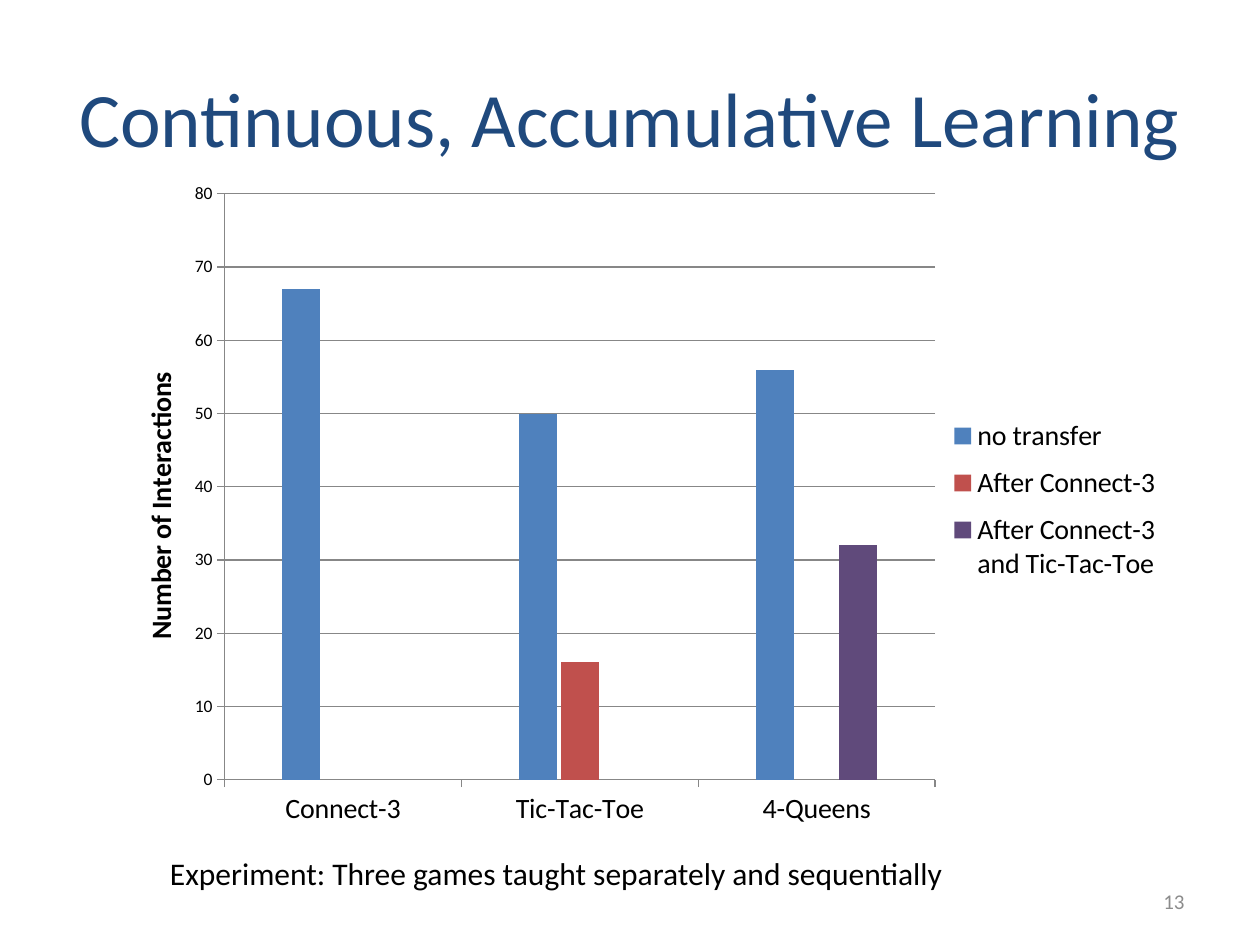
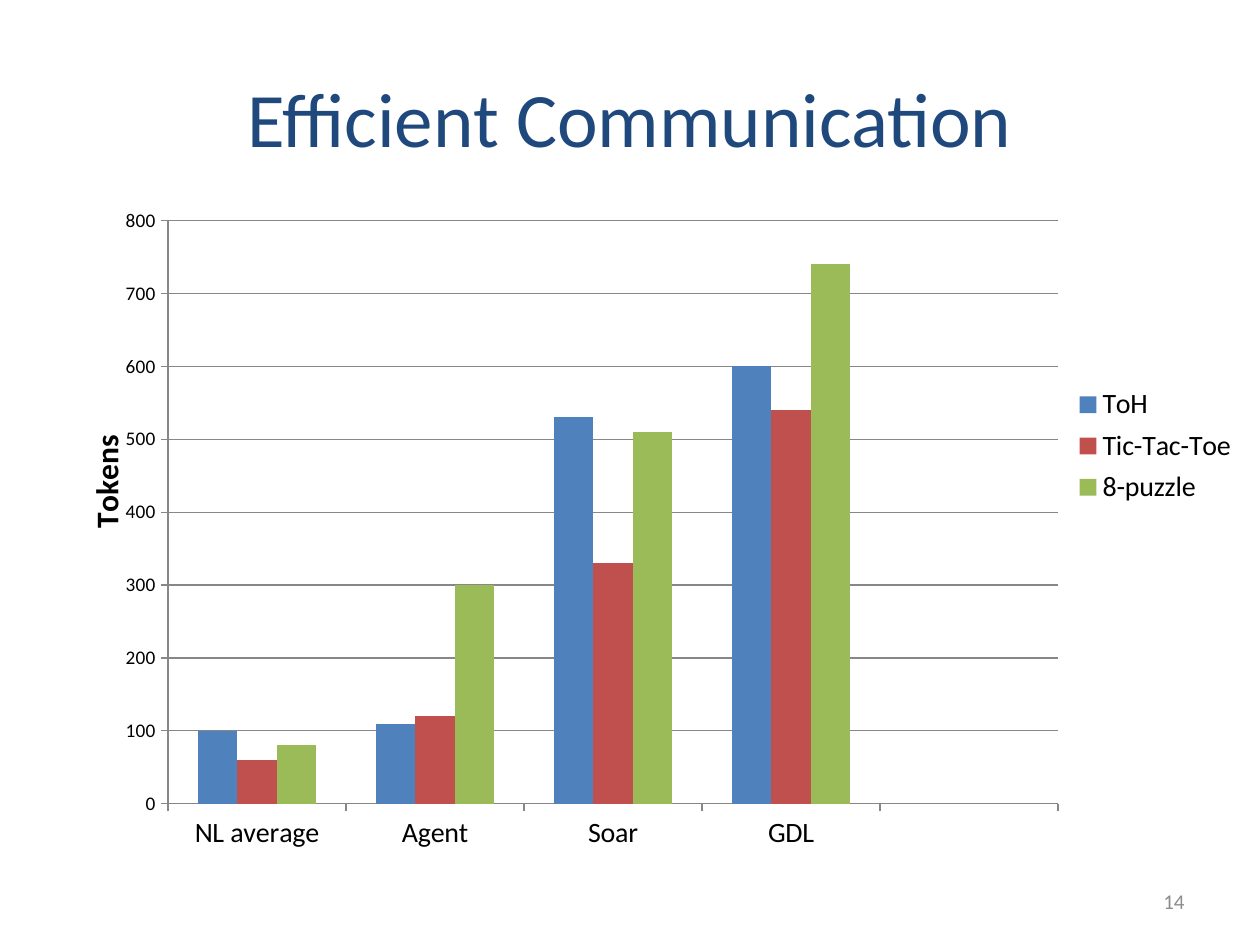
"""Build two slides of column charts about interactive game learning."""
from dataclasses import dataclass
from typing import Any, NamedTuple, Optional

from lxml import etree
from pptx import Presentation
from pptx import util as u
from pptx.chart import data as chart_data
from pptx.dml import color
from pptx.enum import chart as charts, text
from pptx.oxml import ns


@dataclass(frozen=True)
class Theme:
    font: str = "Calibri"
    title_color: str = "1F497D"
    text_color: str = "000000"
    number_color: str = "8C8C8C"
    line_color: str = "878787"
    blue: str = "4F81BD"
    red: str = "C0504D"
    purple: str = "604A7B"
    green: str = "9BBB59"
    title_size: int = 44
    caption_size: int = 18
    label_size: int = 16
    number_size: int = 12


class Box(NamedTuple):
    left: float
    top: float
    width: float
    height: float


class Series(NamedTuple):
    name: str
    color: str
    values: tuple[Optional[float], ...]


class TextStyle(NamedTuple):
    size: int
    color: str
    alignment: Any = text.PP_ALIGN.LEFT
    anchor: Any = text.MSO_ANCHOR.TOP


@dataclass(frozen=True)
class ColumnChart:
    box: Box
    categories: tuple[str, ...]
    series: tuple[Series, ...]
    axis_title: str
    axis_title_size: int
    tick_size: int
    maximum: int
    step: int
    gap_width: int
    overlap: int
    plot_layout: dict[str, float]
    title_layout: dict[str, float]
    legend_layout: dict[str, float]


@dataclass(frozen=True)
class ChartSlide:
    title: str
    number: int
    chart: ColumnChart
    caption: str = ""


THEME = Theme()
TITLE_BOX = Box(0.5, 0.3, 9, 1.25)
CAPTION_BOX = Box(1.25, 6.73, 7.42, 0.4)
NUMBER_BOX = Box(7.17, 6.95, 2.33, 0.4)
CENTER, RIGHT = text.PP_ALIGN.CENTER, text.PP_ALIGN.RIGHT
MIDDLE = text.MSO_ANCHOR.MIDDLE
TITLE_STYLE = TextStyle(THEME.title_size, THEME.title_color, CENTER, MIDDLE)
CAPTION_STYLE = TextStyle(THEME.caption_size, THEME.text_color)
NUMBER_STYLE = TextStyle(THEME.number_size, THEME.number_color, RIGHT, MIDDLE)

SLIDES = (
    ChartSlide(
        title="Continuous, Accumulative Learning",
        number=13,
        caption="Experiment: Three games taught separately and sequentially",
        chart=ColumnChart(
            box=Box(1, 1.42, 8.33, 5.15),
            categories=("Connect-3", "Tic-Tac-Toe", "4-Queens"),
            series=(
                Series("no transfer", THEME.blue, (67, 50, 56)),
                Series("After Connect-3", THEME.red, (None, 16, None)),
                Series("After Connect-3 and Tic-Tac-Toe", THEME.purple, (None, None, 32)),
            ),
            axis_title="Number of Interactions",
            axis_title_size=16,
            tick_size=10,
            maximum=80,
            step=10,
            gap_width=303,
            overlap=-10,
            plot_layout={"x": 0.094, "y": 0.023, "w": 0.677, "h": 0.903},
            title_layout={"x": 0.01, "y": 0.29},
            legend_layout={"x": 0.78, "y": 0.35, "w": 0.21, "h": 0.29},
        ),
    ),
    ChartSlide(
        title="Efficient Communication",
        number=14,
        chart=ColumnChart(
            box=Box(0, 1.33, 10.42, 6.5),
            categories=("NL average", "Agent", "Soar", "GDL", ""),
            series=(
                Series("ToH", THEME.blue, (100, 110, 530, 600, None)),
                Series("Tic-Tac-Toe", THEME.red, (60, 120, 330, 540, None)),
                Series("8-puzzle", THEME.green, (80, 300, 510, 740, None)),
            ),
            axis_title="Tokens",
            axis_title_size=18,
            tick_size=11,
            maximum=800,
            step=100,
            gap_width=150,
            overlap=0,
            plot_layout={"x": 0.128, "y": 0.065, "w": 0.678, "h": 0.712},
            title_layout={"x": 0.06, "y": 0.32},
            legend_layout={"x": 0.81, "y": 0.26, "w": 0.14, "h": 0.16},
        ),
    ),
)


def set_attributes(target: Any, values: dict[str, Any]) -> None:
    """Set each named attribute on the target."""
    for name, value in values.items():
        setattr(target, name, value)


def set_font(font: Any, size: int, rgb: str, bold: bool = False) -> None:
    """Give a font the theme typeface, a size and a colour."""
    set_attributes(font, {"name": THEME.font, "size": u.Pt(size), "bold": bold})
    font.color.rgb = color.RGBColor.from_string(rgb)


def set_line(line: Any) -> None:
    """Give an axis or gridline the thin theme line."""
    line.color.rgb = color.RGBColor.from_string(THEME.line_color)
    line.width = u.Pt(0.75)


def set_layout(parent: Any, index: int, fractions: dict[str, float], inner: bool = False) -> None:
    """Place a chart part by fractions of the chart area."""
    for previous in parent.findall(ns.qn("c:layout")):
        parent.remove(previous)
    layout = etree.Element(ns.qn("c:layout"))
    manual = etree.SubElement(layout, ns.qn("c:manualLayout"))
    modes = {"layoutTarget": "inner"} if inner else {}
    modes |= {"xMode": "edge", "yMode": "edge"}
    for name, value in (modes | fractions).items():
        etree.SubElement(manual, ns.qn(f"c:{name}")).set("val", str(value))
    parent.insert(index, layout)


def add_text(slide: Any, box: Box, content: str, style: TextStyle) -> None:
    """Add a text box with one styled paragraph."""
    shape = slide.shapes.add_textbox(*map(u.Inches, box))
    set_attributes(shape.text_frame, {"word_wrap": True, "vertical_anchor": style.anchor})
    paragraph = shape.text_frame.paragraphs[0]
    paragraph.alignment = style.alignment
    run = paragraph.add_run()
    run.text = content
    set_font(run.font, style.size, style.color)


def format_axes(chart: Any, column_chart: ColumnChart) -> None:
    """Style both axes, the gridlines and the value axis title."""
    sizes = ((chart.category_axis, THEME.label_size), (chart.value_axis, column_chart.tick_size))
    for axis, size in sizes:
        axis.major_tick_mark = charts.XL_TICK_MARK.OUTSIDE
        set_font(axis.tick_labels.font, size, THEME.text_color)
        set_line(axis.format.line)
    axis = chart.value_axis
    set_attributes(axis, {
        "minimum_scale": 0,
        "maximum_scale": column_chart.maximum,
        "major_unit": column_chart.step,
        "has_major_gridlines": True,
    })
    set_line(axis.major_gridlines.format.line)
    frame = axis.axis_title.text_frame
    frame.text = column_chart.axis_title
    set_font(frame.paragraphs[0].runs[0].font, column_chart.axis_title_size, THEME.text_color, True)
    properties = frame._txBody.find(ns.qn("a:bodyPr"))
    for name, value in {"rot": "-5400000", "vert": "horz"}.items():
        properties.set(name, value)
    set_layout(axis.axis_title._element, 1, column_chart.title_layout)


def add_column_chart(slide: Any, column_chart: ColumnChart) -> None:
    """Add a clustered column chart with its legend."""
    data = chart_data.CategoryChartData()
    data.categories = column_chart.categories
    for series in column_chart.series:
        data.add_series(series.name, series.values)
    chart = slide.shapes.add_chart(
        charts.XL_CHART_TYPE.COLUMN_CLUSTERED, *map(u.Inches, column_chart.box), data
    ).chart
    set_attributes(chart, {"has_title": False, "has_legend": True})
    set_font(chart.font, column_chart.tick_size, THEME.text_color)
    set_attributes(chart.plots[0], {
        "gap_width": column_chart.gap_width,
        "overlap": column_chart.overlap,
        "vary_by_categories": False,
    })
    for plotted, series in zip(chart.plots[0].series, column_chart.series):
        plotted.format.fill.solid()
        plotted.format.fill.fore_color.rgb = color.RGBColor.from_string(series.color)
    format_axes(chart, column_chart)
    set_attributes(chart.legend, {
        "position": charts.XL_LEGEND_POSITION.RIGHT,
        "include_in_layout": False,
    })
    set_font(chart.legend.font, THEME.label_size, THEME.text_color)
    set_layout(chart.legend._element, 1, column_chart.legend_layout)
    set_layout(chart._chartSpace.chart.plotArea, 0, column_chart.plot_layout, inner=True)


def add_chart_slide(presentation: Any, content: ChartSlide) -> None:
    """Add a slide with title, number, optional caption and chart."""
    slide = presentation.slides.add_slide(presentation.slide_layouts[6])
    add_text(slide, TITLE_BOX, content.title, TITLE_STYLE)
    if content.caption:
        add_text(slide, CAPTION_BOX, content.caption, CAPTION_STYLE)
    add_text(slide, NUMBER_BOX, str(content.number), NUMBER_STYLE)
    add_column_chart(slide, content.chart)


def main() -> None:
    """Build and save the presentation."""
    presentation = Presentation()
    set_attributes(presentation, {"slide_width": u.Inches(10), "slide_height": u.Inches(7.5)})
    for content in SLIDES:
        add_chart_slide(presentation, content)
    presentation.save("out.pptx")


if __name__ == "__main__":
    main()
